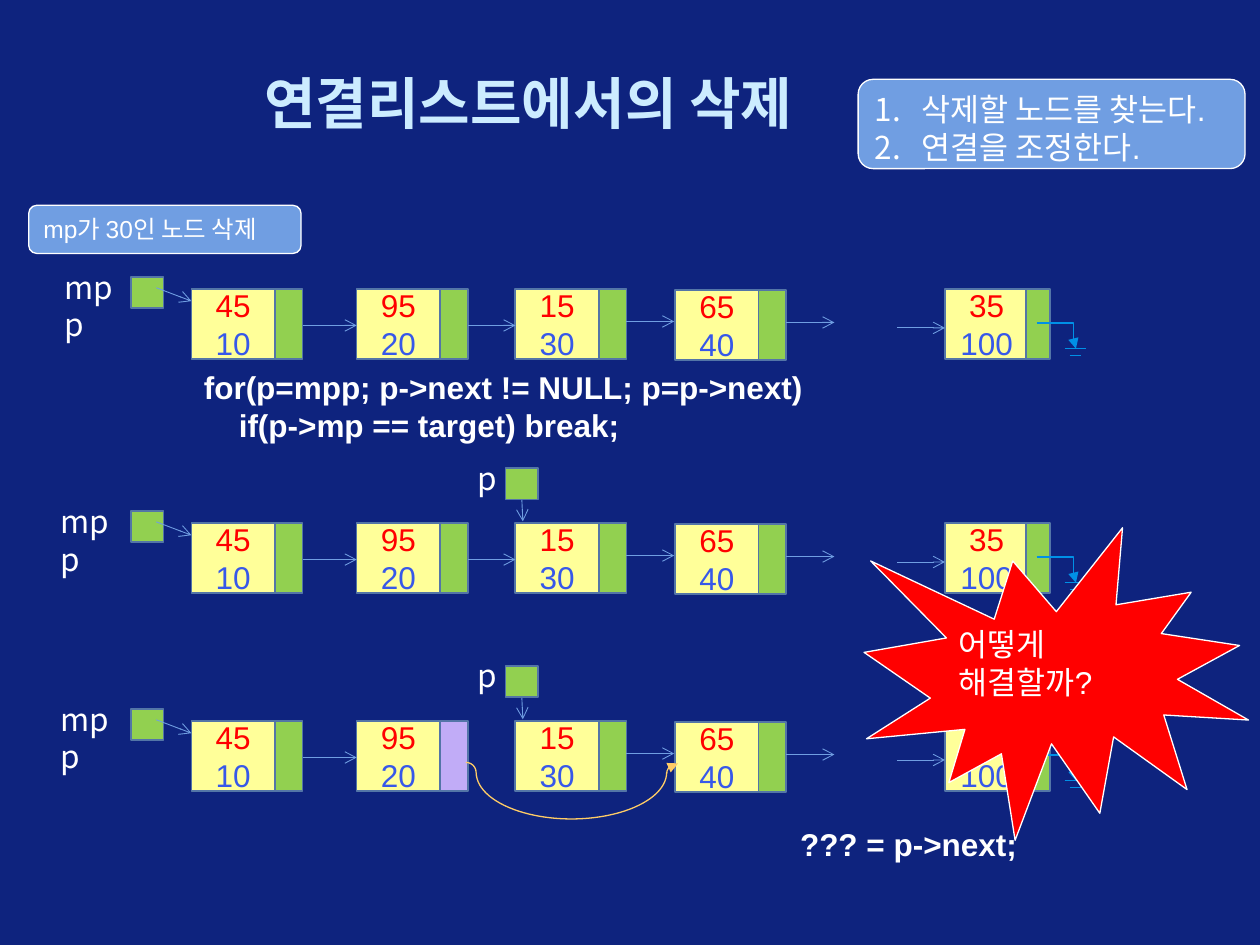
from dataclasses import dataclass

from lxml.etree import SubElement
from pptx import Presentation
from pptx.dml.color import RGBColor
from pptx.enum.shapes import MSO_CONNECTOR, MSO_SHAPE
from pptx.enum.text import MSO_ANCHOR, MSO_AUTO_SIZE, PP_ALIGN
from pptx.oxml.ns import qn
from pptx.util import Cm, Pt


@dataclass(frozen=True)
class Theme:
    background: str = "0E237E"
    title: str = "CCECFF"
    white: str = "FFFFFF"
    panel: str = "709EE2"
    data: str = "FFFF99"
    link: str = "92D050"
    changed_link: str = "C1ACF7"
    border: str = "5375A7"
    key: str = "FF0000"
    value: str = "3758E9"
    ground: str = "0090E6"
    bypass: str = "FFCC66"
    burst: str = "FF0000"
    latin: str = "Arial"
    korean: str = "Noto Sans CJK KR"
    title_size: int = 32
    body_size: int = 18
    note_size: int = 14


THEME = Theme()
NODES = [(2.89, 0, "45", "10"), (6.22, 0, "95", "20"), (9.42, 0, "15", "30"),
         (12.64, 0.02, "65", "40"), (18.08, 0, "35", "100")]
ARROWS = [(2.18, -0.02, 2.89, 0.25), (5.13, 0.74, 6.22, 0.74), (8.46, 0.74, 9.42, 0.74),
          (11.65, 0.66, 12.62, 0.66), (14.88, 0.68, 15.85, 0.68), (17.11, 0.79, 18.08, 0.79)]
DATA_WIDTH, LINK_WIDTH, NODE_HEIGHT = 1.68, 0.56, 1.42


def rgb(color):
    return RGBColor.from_string(color)


def write(holder, lines, size=THEME.body_size, colors=(THEME.white,), latin=THEME.latin,
          bold=False, align=PP_ALIGN.LEFT, anchor=MSO_ANCHOR.TOP, wrap=True):
    frame = holder.text_frame
    frame.text = "\n".join(lines)
    frame.word_wrap = wrap
    frame.vertical_anchor = anchor
    for index, paragraph in enumerate(frame.paragraphs):
        paragraph.alignment = align
        for run in paragraph.runs:
            run.font.name = latin
            run.font.size = Pt(size)
            run.font.bold = bold
            run.font.color.rgb = rgb(colors[index % len(colors)])
            SubElement(run.font._element, qn("a:ea"), typeface=THEME.korean)
    return frame


def add_label(shapes, left, top, width, height, lines, **style):
    label = shapes.add_textbox(Cm(left), Cm(top), Cm(width), Cm(height))
    return write(label, lines, **style)


def add_block(shapes, preset, left, top, width, height, fill, border, weight):
    block = shapes.add_shape(preset, Cm(left), Cm(top), Cm(width), Cm(height))
    block.shadow.inherit = False
    if fill:
        block.fill.solid()
        block.fill.fore_color.rgb = rgb(fill)
    else:
        block.fill.background()
    block.line.color.rgb = rgb(border)
    block.line.width = Pt(weight)
    return block


def add_cell(shapes, left, top, width, height, fill):
    return add_block(shapes, MSO_SHAPE.RECTANGLE, left, top, width, height, fill, THEME.border, 1)


def add_end(stroke, tag, kind):
    SubElement(stroke.line._get_or_add_ln(), qn(tag), type=kind)


def add_stroke(shapes, start_x, start_y, end_x, end_y, color=THEME.panel, weight=0.5,
               tail="arrow", route=MSO_CONNECTOR.STRAIGHT):
    stroke = shapes.add_connector(route, Cm(start_x), Cm(start_y), Cm(end_x), Cm(end_y))
    stroke.line.color.rgb = rgb(color)
    stroke.line.width = Pt(weight)
    if tail:
        add_end(stroke, "a:tailEnd", tail)
    SubElement(stroke.element.spPr, qn("a:effectLst"))
    return stroke


def add_node(shapes, left, top, key, value, link_fill, link_width):
    data = add_cell(shapes, left, top, DATA_WIDTH, NODE_HEIGHT, THEME.data)
    write(data, [key, value], colors=(THEME.key, THEME.value), align=PP_ALIGN.CENTER,
          anchor=MSO_ANCHOR.MIDDLE)
    link_left = left + DATA_WIDTH - (LINK_WIDTH - link_width) / 2
    add_cell(shapes, link_left, top, link_width, NODE_HEIGHT, link_fill)


def add_ground(shapes, left, top):
    style = {"color": THEME.ground, "weight": 0.75}
    drop = add_stroke(shapes, left, top, left + 0.79, top + 0.52, tail="triangle",
                      route=MSO_CONNECTOR.ELBOW, **style)
    guides = drop.element.spPr.find(qn("a:prstGeom")).get_or_add_avLst()
    SubElement(guides, qn("a:gd"), name="adj1", fmla="val 94800")
    for inset, depth, length in [(0.56, 0.52, 0.43), (0.66, 0.66, 0.23)]:
        add_stroke(shapes, left + inset, top + depth, left + inset + length, top + depth,
                   tail=None, **style)


def add_search_pointer(shapes, left, top):
    add_cell(shapes, left + 0.82, top + 0.32, 0.66, 0.63, THEME.link)
    add_stroke(shapes, left + 1.15, top + 0.96, left + 1.17, top + 1.39)
    add_label(shapes, left, top, 0.89, 1.02, ["p"], latin=THEME.korean, wrap=False)


def add_bypass(shapes, left, top):
    def add_arc(x, y, width, height, flip=None):
        arc = add_block(shapes, MSO_SHAPE.ARC, left + x, top + y, width, height,
                        None, THEME.bypass, 0.75)
        if flip:
            arc.element.spPr.find(qn("a:xfrm")).set(flip, "1")
        return arc

    add_arc(0, 0.74, 0.41, 0.41)
    add_end(add_arc(4.25, 0.76, 0.46, 0.41, "flipH"), "a:headEnd", "triangle")
    bowl = add_arc(0.41, 0, 3.84, 1.88, "flipV")
    bowl.adjustments[0] = 108.06
    bowl.adjustments[1] = 0


def add_list(slide, left, top, label_shift=0, searching=False, bypassed=False):
    shapes = slide.shapes.add_group_shape().shapes
    for index, (x, y, key, value) in enumerate(NODES):
        link_fill = THEME.changed_link if bypassed and index == 1 else THEME.link
        link_width = 0.48 if index == len(NODES) - 1 else LINK_WIDTH
        add_node(shapes, left + x, top + y, key, value, link_fill, link_width)
    add_cell(shapes, left + 1.67, top - 0.24, 0.66, 0.63, THEME.link)
    for start_x, start_y, end_x, end_y in ARROWS:
        if not (bypassed and start_x == 8.46):
            add_stroke(shapes, left + start_x, top + start_y, left + end_x, top + end_y)
    add_label(shapes, left + label_shift, top - 0.55, 1.83, 1.02, ["mpp"], latin=THEME.korean)
    add_ground(shapes, left + 19.93, top + 0.69)
    if searching:
        add_search_pointer(shapes, left + 8.4, top - 1.42)
    if bypassed:
        add_bypass(shapes, left + 8.22, top + 0.1)


def add_panel(slide, left, top, width, height, lines, numbered=False, **style):
    panel = add_block(slide.shapes, MSO_SHAPE.ROUNDED_RECTANGLE, left, top, width, height,
                      THEME.panel, THEME.white, 0.75)
    frame = write(panel, lines, **style)
    if numbered:
        for paragraph in frame.paragraphs:
            properties = paragraph._p.get_or_add_pPr()
            properties.set("marL", str(Cm(0.95)))
            properties.set("indent", str(Cm(-0.95)))
            SubElement(properties, qn("a:buFont"), typeface=THEME.korean)
            SubElement(properties, qn("a:buAutoNum"), type="arabicPeriod")


def add_code(slide, left, top, width, height, lines):
    frame = add_label(slide.shapes, left, top, width, height, lines, bold=True, wrap=False)
    frame.auto_size = MSO_AUTO_SIZE.SHAPE_TO_FIT_TEXT


def add_burst(slide, left, top, width, height):
    burst = add_block(slide.shapes, MSO_SHAPE.EXPLOSION1, left, top, width, height,
                      THEME.burst, THEME.white, 0.75)
    write(burst, ["어떻게 해결할까?"])


def main():
    deck = Presentation()
    deck.slide_width, deck.slide_height = Cm(25.4), Cm(19.05)
    slide = deck.slides.add_slide(deck.slide_layouts[6])
    slide.background.fill.solid()
    slide.background.fill.fore_color.rgb = rgb(THEME.background)
    add_label(slide.shapes, 5.08, 1.27, 19.25, 1.57, ["연결리스트에서의 삭제"],
              size=THEME.title_size, colors=(THEME.title,), bold=True, anchor=MSO_ANCHOR.MIDDLE)
    add_panel(slide, 17.3, 1.6, 7.8, 1.8, ["삭제할 노드를 찾는다.", "연결을 조정한다."], numbered=True)
    add_list(slide, 0.97, 5.82, label_shift=0.08)
    add_code(slide, 3.86, 7.29, 12.73, 1.8,
             ["for(p=mpp; p->next != NULL; p=p->next)", "    if(p->mp == target) break;"])
    add_list(slide, 0.97, 10.54, searching=True)
    add_list(slide, 0.97, 14.53, searching=True, bypassed=True)
    add_code(slide, 15.88, 16.51, 4.93, 1.02, ["??? = p->next;"])
    add_burst(slide, 17.42, 10.64, 7.75, 6.3)
    add_panel(slide, 0.58, 4.14, 5.49, 0.97, ["mp가 30인 노드 삭제"], size=THEME.note_size)
    deck.save("out.pptx")


if __name__ == "__main__":
    main()
